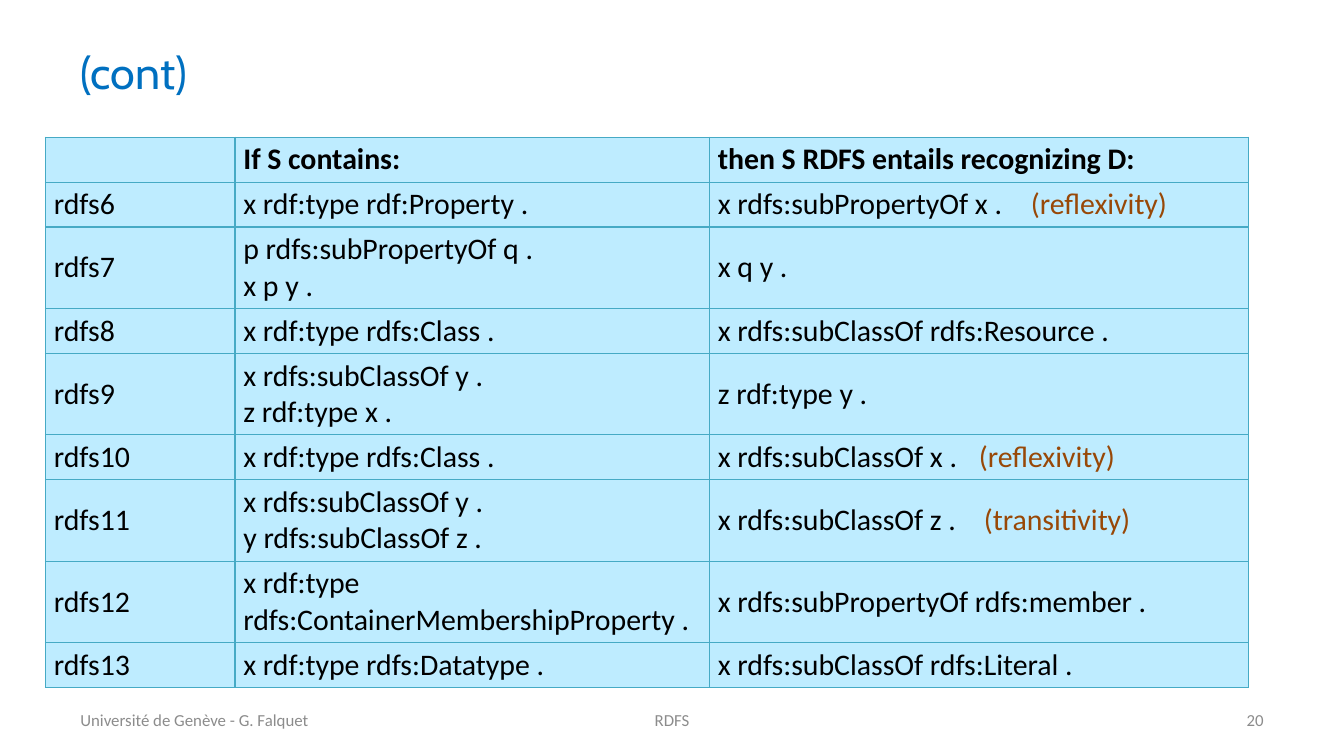
from lxml.etree import SubElement
from pptx import Presentation
from pptx.dml.color import RGBColor
from pptx.enum.text import MSO_ANCHOR, PP_ALIGN
from pptx.oxml.ns import qn
from pptx.util import Pt

BLACK, BLUE, BROWN, GRAY = "000000", "0070C0", "984807", "8C8C8C"
FILL, EDGE = "BEECFF", "46AAC5"
COLS = (101.5, 254.2, 288.7)
LINE, PAIR = 23.9, 43.6  # heights of one-line and two-line rows

# Rule name, premises, conclusion; a tab sets off the remark
RULES = [
    ("", "If S contains:", "then S RDFS entails recognizing D:"),
    ("rdfs6", "x rdf:type rdf:Property .", "x rdfs:subPropertyOf x .\t(reflexivity)"),
    ("rdfs7", "p rdfs:subPropertyOf q .\nx p y .", "x q y ."),
    ("rdfs8", "x rdf:type rdfs:Class .", "x rdfs:subClassOf rdfs:Resource ."),
    ("rdfs9", "x rdfs:subClassOf y .\nz rdf:type x .", "z rdf:type y ."),
    ("rdfs10", "x rdf:type rdfs:Class .", "x rdfs:subClassOf x .\t(reflexivity)"),
    ("rdfs11", "x rdfs:subClassOf y .\ny rdfs:subClassOf z .",
     "x rdfs:subClassOf z .\t(transitivity)"),
    ("rdfs12", "x rdf:type rdfs:ContainerMembershipProperty .",
     "x rdfs:subPropertyOf rdfs:member ."),
    ("rdfs13", "x rdf:type rdfs:Datatype .", "x rdfs:subClassOf rdfs:Literal ."),
]
TALL = {"rdfs7", "rdfs9", "rdfs11", "rdfs12"}
STOPS = {"rdfs6": 167.7, "rdfs10": 139.8, "rdfs11": 142.5}


def paint(color, value):
    color.rgb = RGBColor.from_string(value)


def style(run, size, color, face="Calibri", bold=False):
    font = run.font
    font.size, font.name, font.bold = Pt(size), face, bold
    paint(font.color, color)


def add_title(slide, text):
    title = slide.shapes.title
    title.left, title.top, title.width, title.height = Pt(36), Pt(16.5), Pt(648), Pt(43.2)
    frame = title.text_frame
    frame.text = text
    frame.vertical_anchor = MSO_ANCHOR.MIDDLE
    para = frame.paragraphs[0]
    para.alignment = PP_ALIGN.LEFT
    style(para.runs[0], 24, BLUE, "Cabin")


def add_foot(slide, left, width, text, align):
    box = slide.shapes.add_textbox(Pt(left), Pt(375), Pt(width), Pt(21.6))
    frame = box.text_frame
    frame.word_wrap = True
    frame.vertical_anchor = MSO_ANCHOR.MIDDLE
    frame.text = text
    para = frame.paragraphs[0]
    para.alignment = align
    style(para.runs[0], 9, GRAY)


def add_edges(cell):
    # Borders must come before the fill
    props = cell._tc.get_or_add_tcPr()
    for side in ("lnL", "lnR", "lnT", "lnB"):
        line = SubElement(props, qn(f"a:{side}"), w=str(Pt(0.75)))
        solid = SubElement(line, qn("a:solidFill"))
        SubElement(solid, qn("a:srgbClr"), val=EDGE)


def add_stop(para, place):
    tabs = SubElement(para._p.get_or_add_pPr(), qn("a:tabLst"))
    SubElement(tabs, qn("a:tab"), pos=str(Pt(place)), algn="l")


def fill_cell(cell, text, bold, stop):
    add_edges(cell)
    cell.fill.solid()
    paint(cell.fill.fore_color, FILL)
    cell.vertical_anchor = MSO_ANCHOR.MIDDLE
    cell.margin_left = cell.margin_right = Pt(4.5)
    cell.margin_top = cell.margin_bottom = Pt(2.25)
    frame = cell.text_frame
    frame.text = text.partition("\t")[0]
    for para in frame.paragraphs:
        for run in para.runs:
            style(run, 16, BLACK, bold=bold)
    para = frame.paragraphs[0]
    if not text:
        # Keep the empty cell as low as its row
        SubElement(para._p, qn("a:endParaRPr"), sz="1600")
    if "\t" in text:
        add_stop(para, stop)
        note = para.add_run()
        note.text = "\t" + text.partition("\t")[2]
        style(note, 16, BROWN)


def add_rules(slide):
    highs = [PAIR if rule[0] in TALL else LINE for rule in RULES]
    frame = slide.shapes.add_table(len(RULES), len(COLS), Pt(24.4), Pt(73.5),
                                   Pt(sum(COLS)), Pt(sum(highs)))
    table = frame.table
    for col, width in zip(table.columns, COLS):
        col.width = Pt(width)
    for row, high, rule in zip(table.rows, highs, RULES):
        row.height = Pt(high)
        for cell, text in zip(row.cells, rule):
            fill_cell(cell, text, rule is RULES[0], STOPS.get(rule[0]))


def main():
    deck = Presentation()
    deck.slide_width, deck.slide_height = Pt(720), Pt(405)
    slide = deck.slides.add_slide(deck.slide_layouts[5])
    add_title(slide, "(cont)")
    add_rules(slide)
    # Footer line
    add_foot(slide, 36, 210, "Université de Genève - G. Falquet", PP_ALIGN.LEFT)
    add_foot(slide, 246, 228, "RDFS", PP_ALIGN.CENTER)
    add_foot(slide, 516, 168, "20", PP_ALIGN.RIGHT)
    deck.save("out.pptx")


if __name__ == "__main__":
    main()
